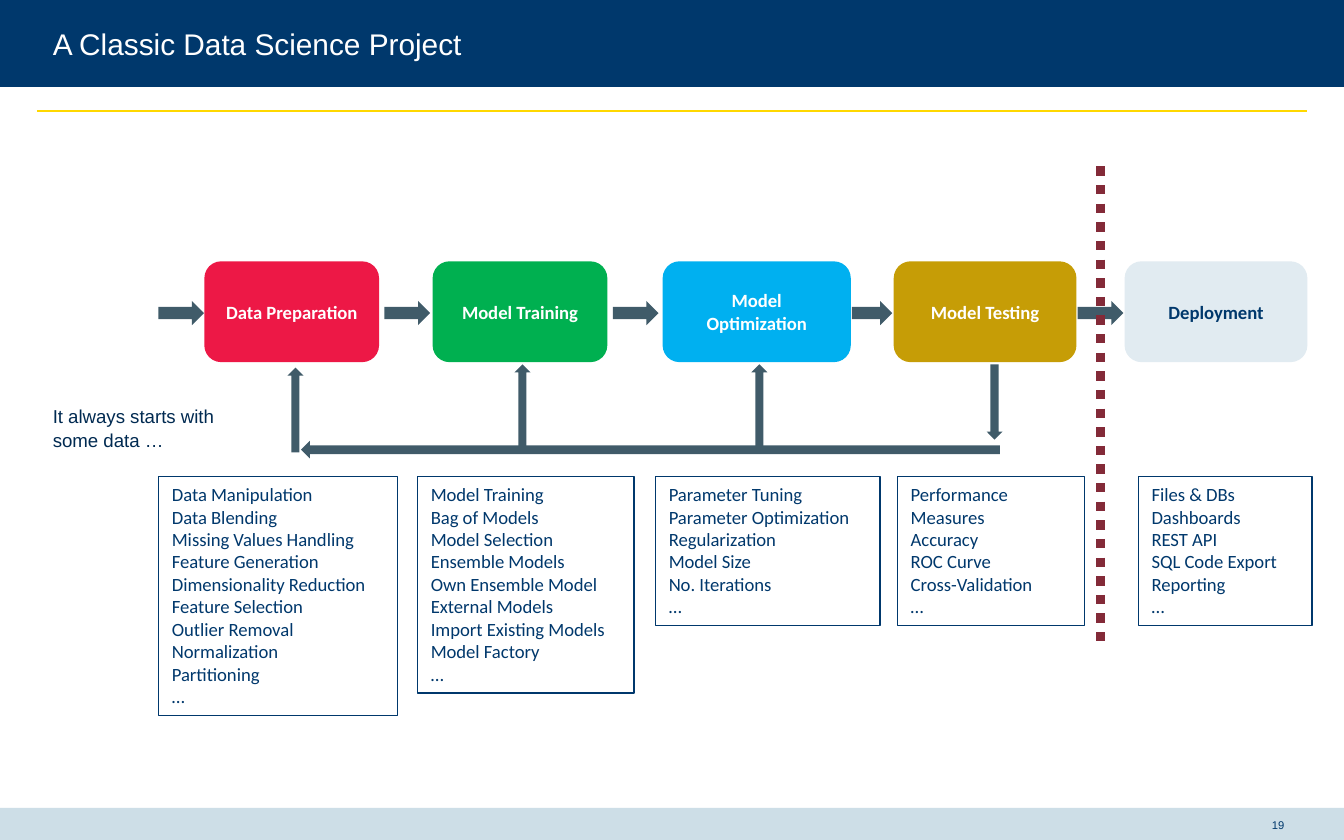
from lxml.etree import SubElement
from pptx import Presentation
from pptx.dml.color import RGBColor
from pptx.enum.dml import MSO_LINE
from pptx.enum.shapes import MSO_CONNECTOR, MSO_SHAPE
from pptx.enum.text import MSO_ANCHOR, PP_ALIGN
from pptx.oxml.ns import qn
from pptx.util import Pt

NAVY, WHITE, SLATE = "00386C", "FFFFFF", "405B69"
STAGE_TOP, STAGE_HEIGHT = 140, 54
LIST_TOP, LINE_HEIGHT, LIST_PADDING, MIN_LINES = 255.2, 12.1, 7.2, 6

# name, left, width, fill, text colour, list left, list width, list items
STAGES = [
    ("Data Preparation", 109.5, 93.6, "ED1846", WHITE, 85, 128,
     ["Data Manipulation", "Data Blending", "Missing Values Handling",
      "Feature Generation", "Dimensionality Reduction", "Feature Selection",
      "Outlier Removal", "Normalization", "Partitioning", "…"]),
    ("Model Training", 231.8, 93.6, "00B050", WHITE, 223.7, 116,
     ["Model Training", "Bag of Models", "Model Selection", "Ensemble Models",
      "Own Ensemble Model", "External Models", "Import Existing Models",
      "Model Factory", "…"]),
    ("Model Optimization", 355, 100.8, "00B0F0", WHITE, 351.2, 120.2,
     ["Parameter Tuning", "Parameter Optimization", "Regularization",
      "Model Size", "No. Iterations", "…"]),
    ("Model Testing", 478.8, 97.9, "C69D06", WHITE, 480.8, 100.2,
     ["Performance Measures", "Accuracy", "ROC Curve", "Cross-Validation", "…"]),
    ("Deployment", 602.5, 97.9, "E1EBF1", NAVY, 609.8, 93,
     ["Files & DBs", "Dashboards", "REST API", "SQL Code Export",
      "Reporting", "…"]),
]

# kind, left, top, width, height
ARROWS = [(MSO_SHAPE.RIGHT_ARROW, left, 161.2, width, 13) for left, width in
          [(84.8, 24.5), (206, 24.5), (328.3, 24.5), (456.4, 21.6), (577.4, 24.5)]]
ARROWS += [(MSO_SHAPE.UP_ARROW, left, top, 8.6, 45.4) for left, top in
           [(154, 197), (275.6, 195.2), (402.5, 195.2)]]
ARROWS += [
    (MSO_SHAPE.DOWN_ARROW, 528.5, 195.2, 8.6, 40.3),
    (MSO_SHAPE.LEFT_ARROW, 161.3, 236.2, 374.4, 9.4),
]


def rgb(color):
    return RGBColor.from_string(color)


def place(shape, left, top, width, height):
    shape.left, shape.top = Pt(left), Pt(top)
    shape.width, shape.height = Pt(width), Pt(height)


def write(shape, lines, size, font, color, bold=False, align=PP_ALIGN.LEFT,
          anchor=MSO_ANCHOR.TOP, inset=None):
    frame = shape.text_frame
    frame.text = "\n".join(lines)
    frame.word_wrap = True
    frame.vertical_anchor = anchor
    if inset is not None:
        frame.margin_left = frame.margin_right = Pt(inset)
        frame.margin_top = frame.margin_bottom = Pt(inset)
    for paragraph in frame.paragraphs:
        paragraph.alignment = align
        for run in paragraph.runs:
            run.font.size, run.font.name, run.font.bold = Pt(size), font, bold
            run.font.color.rgb = rgb(color)


def add_box(slide, kind, left, top, width, height, fill=None, line=None):
    box = slide.shapes.add_shape(kind, Pt(left), Pt(top), Pt(width), Pt(height))
    box.shadow.inherit = False
    if fill:
        box.fill.solid()
        box.fill.fore_color.rgb = rgb(fill)
    else:
        box.fill.background()
    if line:
        box.line.color.rgb = rgb(line)
        box.line.width = Pt(0.75)
    else:
        box.line.fill.background()
    return box


def add_line(slide, x1, y1, x2, y2, color, width):
    line = slide.shapes.add_connector(
        MSO_CONNECTOR.STRAIGHT, Pt(x1), Pt(y1), Pt(x2), Pt(y2))
    line.line.color.rgb = rgb(color)
    line.line.width = Pt(width)
    SubElement(line._element.spPr, qn("a:effectLst"))
    return line


def main():
    deck = Presentation()
    deck.slide_width, deck.slide_height = Pt(720), Pt(450)
    slide = deck.slides.add_slide(deck.slide_layouts[5])

    add_box(slide, MSO_SHAPE.RECTANGLE, 0, 0, 720, 46.6, NAVY)
    add_box(slide, MSO_SHAPE.RECTANGLE, 0, 432.8, 720, 17.2, "CDDEE7")
    add_line(slide, 19.8, 59.5, 700.2, 59.5, "FFD800", 1.25)

    title = slide.shapes.title
    place(title, 28.3, 13.8, 663.8, 19.6)
    write(title, ["A Classic Data Science Project"], 16, "Arial", WHITE,
          anchor=MSO_ANCHOR.MIDDLE, inset=0)
    slide.shapes._spTree.append(title._element)  # in front of the header band

    intro = slide.shapes.add_textbox(Pt(28.3), Pt(216), Pt(98.6), Pt(38.2))
    write(intro, ["It always starts with some data …"], 10, "Arial", "002A51",
          inset=0)
    intro.text_frame.paragraphs[0].line_spacing = 1.07

    for arrow in ARROWS:
        add_box(slide, *arrow, SLATE)

    for name, left, width, fill, color, list_left, list_width, items in STAGES:
        stage = add_box(slide, MSO_SHAPE.ROUNDED_RECTANGLE, left, STAGE_TOP,
                        width, STAGE_HEIGHT, fill)
        write(stage, [name], 10, "Calibri", color, True, PP_ALIGN.CENTER,
              MSO_ANCHOR.MIDDLE)
        list_height = max(len(items), MIN_LINES) * LINE_HEIGHT + LIST_PADDING
        details = add_box(slide, MSO_SHAPE.RECTANGLE, list_left, LIST_TOP,
                          list_width, list_height, line=NAVY)
        write(details, items, 10, "Calibri", NAVY)

    page_number = slide.shapes.add_textbox(Pt(677.5), Pt(432.8), Pt(14.4), Pt(18.7))
    write(page_number, ["19"], 6, "Arial", NAVY, align=PP_ALIGN.CENTER,
          anchor=MSO_ANCHOR.MIDDLE, inset=0)

    divider = add_line(slide, 589.7, 89.2, 589.7, 344.2, "832A38", 5)
    divider.line.dash_style = MSO_LINE.ROUND_DOT

    deck.save("out.pptx")


if __name__ == "__main__":
    main()
